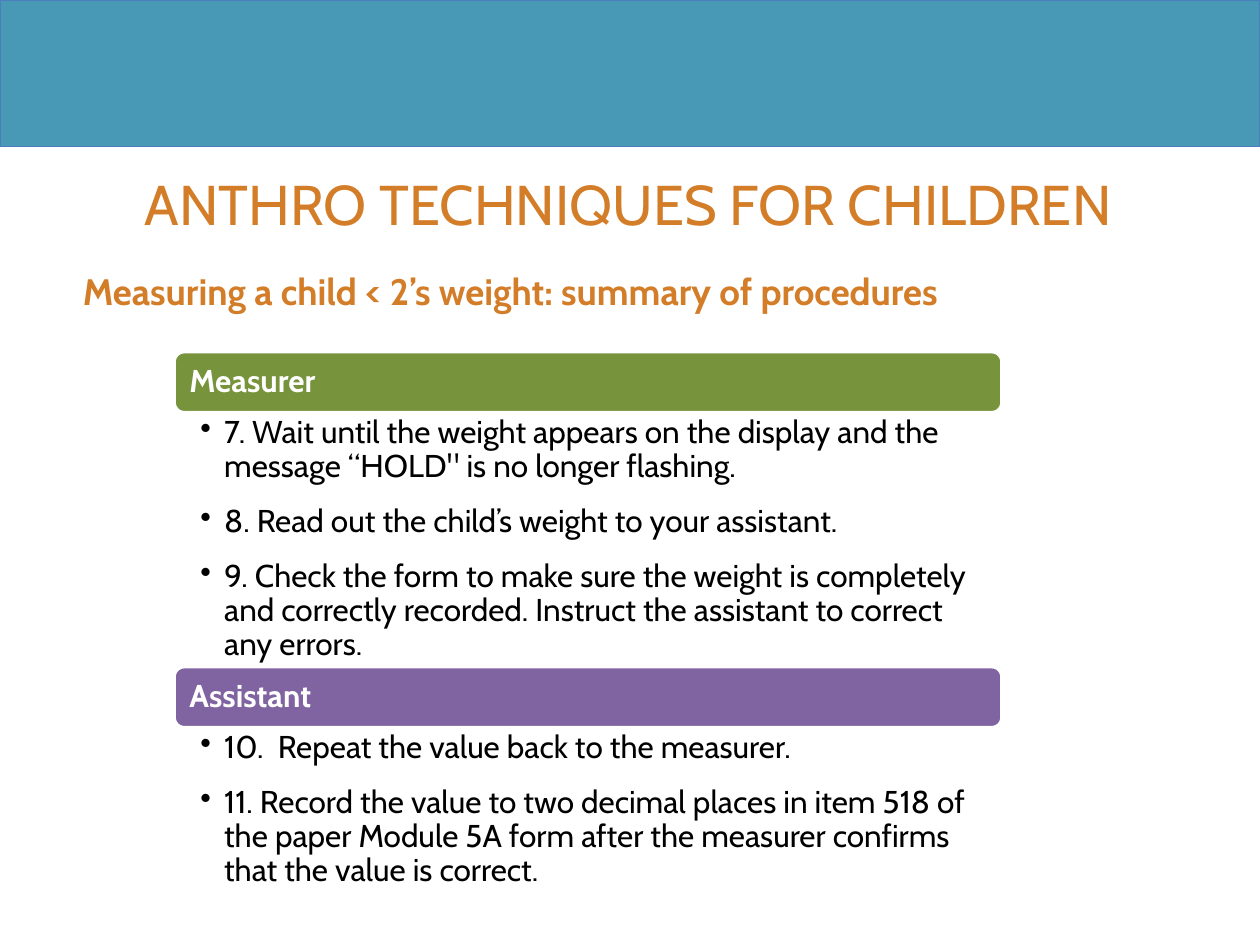
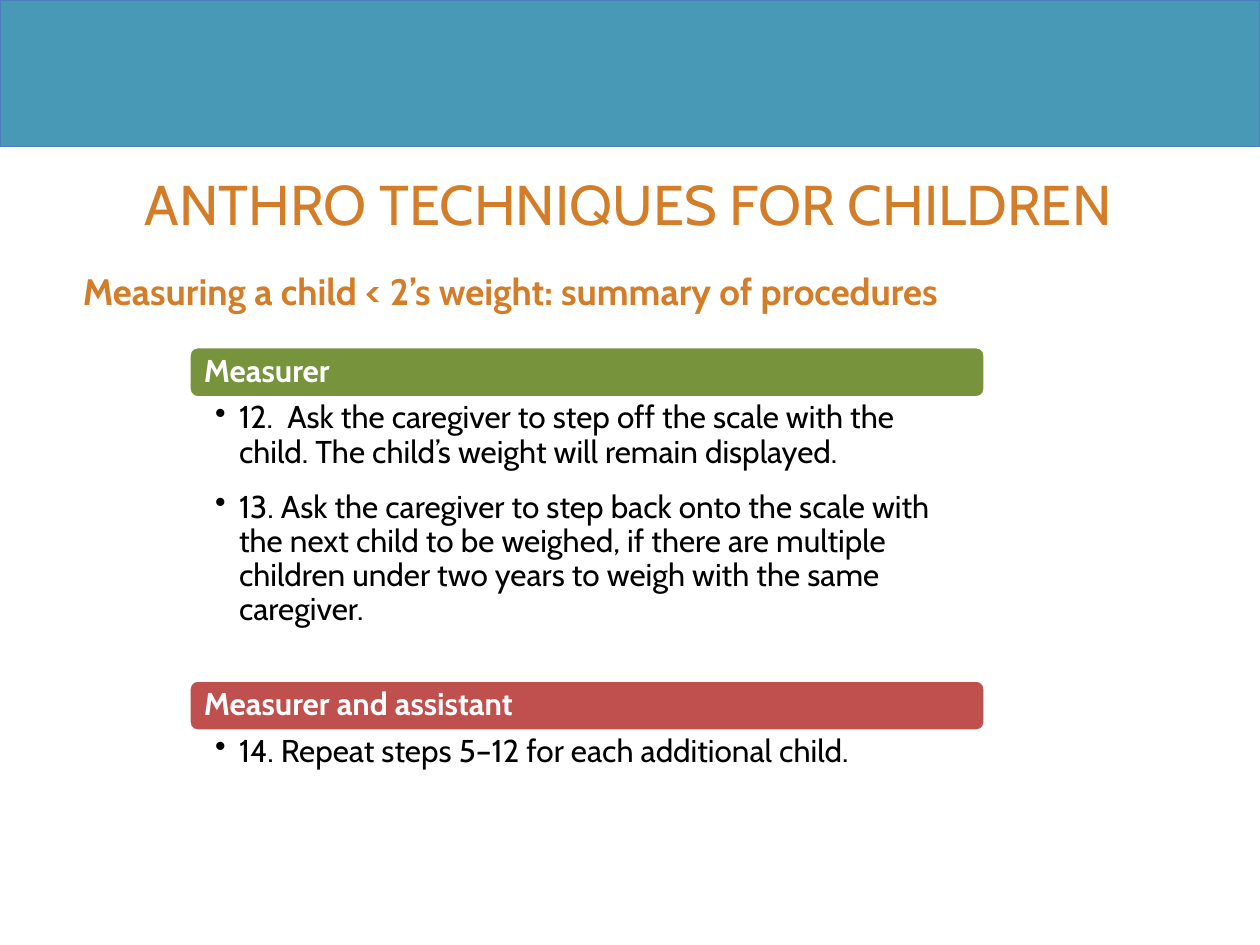
"""Build two slides that summarise how to weigh a child under two."""
from dataclasses import dataclass

from lxml import etree
from pptx import Presentation
from pptx.dml.color import RGBColor
from pptx.enum.shapes import MSO_SHAPE
from pptx.enum.text import MSO_ANCHOR, MSO_AUTO_SIZE, PP_ALIGN
from pptx.oxml.ns import qn
from pptx.util import Cm, Pt

RECTANGLE = MSO_SHAPE.RECTANGLE
ROUNDED = MSO_SHAPE.ROUNDED_RECTANGLE
TOP, MIDDLE = MSO_ANCHOR.TOP, MSO_ANCHOR.MIDDLE
LEFT, CENTER = PP_ALIGN.LEFT, PP_ALIGN.CENTER
NO_AUTOFIT = MSO_AUTO_SIZE.NONE

TEAL = RGBColor(0x47, 0x99, 0xB5)
BLUE = RGBColor(0x4B, 0x7E, 0xBC)
ORANGE = RGBColor(0xD3, 0x7D, 0x28)
GREEN = RGBColor(0x77, 0x93, 0x3C)
PURPLE = RGBColor(0x80, 0x64, 0xA2)
RED = RGBColor(0xC0, 0x50, 0x4D)
WHITE = RGBColor(0xFF, 0xFF, 0xFF)
BLACK = RGBColor(0x00, 0x00, 0x00)

FONT = "Cabin"
TITLE = "ANTHRO TECHNIQUES FOR CHILDREN"
SUBTITLE = "Measuring a child < 2’s weight: summary of procedures"
SLIDE_WIDTH, SLIDE_HEIGHT = Cm(25.4), Cm(19.05)
BAND_HEIGHT = Cm(2.95)
BULLET_INDENT = Cm(0.48)


@dataclass(frozen=True)
class Section:
    """A role with its colour, its steps and the height of its list."""
    role: str
    color: RGBColor
    list_height: Cm
    steps: tuple[str, ...]


@dataclass(frozen=True)
class Procedure:
    """A column of sections stacked from the top down."""
    left: Cm
    top: Cm
    width: Cm
    heading_height: Cm
    sections: tuple[Section, ...]


PROCEDURES = (
    Procedure(Cm(3.51), Cm(7.09), Cm(16.69), Cm(1.23), (
        Section("Measurer", GREEN, Cm(5.12), (
            "7. Wait until the weight appears on the display and the message “HOLD\" is no longer flashing.",
            "8. Read out the child’s weight to your assistant.",
            "9. Check the form to make sure the weight is completely and correctly recorded. "
            "Instruct the assistant to correct any errors.",
        )),
        Section("Assistant", PURPLE, Cm(3.35), (
            "10.  Repeat the value back to the measurer.",
            "11. Record the value to two decimal places in item 518 of the paper Module 5A form "
            "after the measurer confirms that the value is correct.",
        )),
    )),
    Procedure(Cm(3.81), Cm(6.99), Cm(16.05), Cm(1.03), (
        Section("Measurer", GREEN, Cm(5.69), (
            "12.  Ask the caregiver to step off the scale with the child. "
            "The child’s weight will remain displayed.",
            "13. Ask the caregiver to step back onto the scale with the next child to be weighed, "
            "if there are multiple children under two years to weigh with the same caregiver.",
        )),
        Section("Measurer and assistant", RED, Cm(2.54), (
            "14. Repeat steps 5–12 for each additional child.",
        )),
    )),
)


def format_paragraph(paragraph, size: int, color: RGBColor, bold: bool = False, align=LEFT) -> None:
    """Set the font and alignment of a paragraph."""
    paragraph.alignment = align
    font = paragraph.font
    font.name, font.size, font.bold = FONT, Pt(size), bold
    font.color.rgb = color


def set_frame(frame, anchor, left: Cm, top: Cm, right: Cm, bottom: Cm) -> None:
    """Set the wrapping, anchor and insets of a text frame."""
    frame.word_wrap = True
    frame.auto_size = NO_AUTOFIT
    frame.vertical_anchor = anchor
    frame.margin_left, frame.margin_top = left, top
    frame.margin_right, frame.margin_bottom = right, bottom


def set_bullet(paragraph, character: str = "") -> None:
    """Give a paragraph a hanging bullet, or none at all."""
    properties = paragraph._p.get_or_add_pPr()
    indent = BULLET_INDENT if character else 0
    properties.set("marL", str(indent))
    properties.set("indent", str(-indent))
    if character:
        etree.SubElement(properties, qn("a:buChar"), char=character)
    else:
        etree.SubElement(properties, qn("a:buNone"))


def add_block(slide, kind, box: tuple, fill: RGBColor, line: RGBColor, line_width: float):
    """Add a filled and outlined shape without a shadow."""
    shape = slide.shapes.add_shape(kind, *box)
    shape.shadow.inherit = False
    shape.fill.solid()
    shape.fill.fore_color.rgb = fill
    shape.line.color.rgb = line
    shape.line.width = Pt(line_width)
    return shape


def place(shape, left: Cm, top: Cm, width: Cm, height: Cm) -> None:
    """Move and resize a placeholder."""
    shape.left, shape.top, shape.width, shape.height = left, top, width, height


def fill_placeholders(slide) -> None:
    """Write the title and the subtitle."""
    title, subtitle = slide.shapes.title, slide.placeholders[1]
    place(title, Cm(1.24), Cm(3.2), Cm(22.86), Cm(1.65))
    title.text = TITLE
    set_frame(title.text_frame, MIDDLE, Cm(0.25), Cm(0.13), Cm(0.25), Cm(0))
    format_paragraph(title.text_frame.paragraphs[0], 32, ORANGE, align=CENTER)

    place(subtitle, Cm(1.42), Cm(5.28), Cm(22.66), Cm(1.24))
    subtitle.text = SUBTITLE
    set_frame(subtitle.text_frame, TOP, Cm(0.25), Cm(0.13), Cm(0.25), Cm(0.13))
    paragraph = subtitle.text_frame.paragraphs[0]
    set_bullet(paragraph)
    format_paragraph(paragraph, 21, ORANGE, bold=True)


def add_heading(slide, section: Section, box: tuple) -> None:
    """Add the coloured bar that names the role."""
    heading = add_block(slide, ROUNDED, box, section.color, WHITE, 2)
    frame = heading.text_frame
    set_frame(frame, MIDDLE, Cm(0.25), Cm(0.18), Cm(0.25), Cm(0.18))
    paragraph = frame.paragraphs[0]
    paragraph.text = section.role
    paragraph.line_spacing = 0.9
    format_paragraph(paragraph, 18, WHITE, bold=True)


def add_steps(slide, section: Section, box: tuple) -> None:
    """Add the bulleted steps of a role."""
    frame = slide.shapes.add_textbox(*box).text_frame
    set_frame(frame, TOP, Cm(0.53), Cm(0.08), Cm(0.36), Cm(0.08))
    for index, step in enumerate(section.steps):
        paragraph = frame.add_paragraph() if index else frame.paragraphs[0]
        paragraph.text = step
        set_bullet(paragraph, "•")
        paragraph.line_spacing = 0.9
        paragraph.space_after = Pt(12)
        format_paragraph(paragraph, 18, BLACK)


def add_procedure(slide, procedure: Procedure) -> None:
    """Stack the sections of a procedure."""
    left, top, width = procedure.left, procedure.top, procedure.width
    for section in procedure.sections:
        add_heading(slide, section, (left, top, width, procedure.heading_height))
        top += procedure.heading_height
        add_steps(slide, section, (left, top, width, section.list_height))
        top += section.list_height


def add_layout_band(slide) -> None:
    """Draw the top band and move it to the layout behind its placeholders."""
    band = add_block(slide, RECTANGLE, (0, 0, SLIDE_WIDTH, BAND_HEIGHT), TEAL, BLUE, 0.75)
    slide.slide_layout.shapes.element.insert(2, band.element)


def main() -> None:
    """Build and save the presentation."""
    presentation = Presentation()
    presentation.slide_width, presentation.slide_height = SLIDE_WIDTH, SLIDE_HEIGHT
    layout = presentation.slide_layouts[1]
    for index, procedure in enumerate(PROCEDURES):
        slide = presentation.slides.add_slide(layout)
        if index == 0:
            add_layout_band(slide)
        fill_placeholders(slide)
        add_procedure(slide, procedure)
    presentation.save("out.pptx")


if __name__ == "__main__":
    main()
